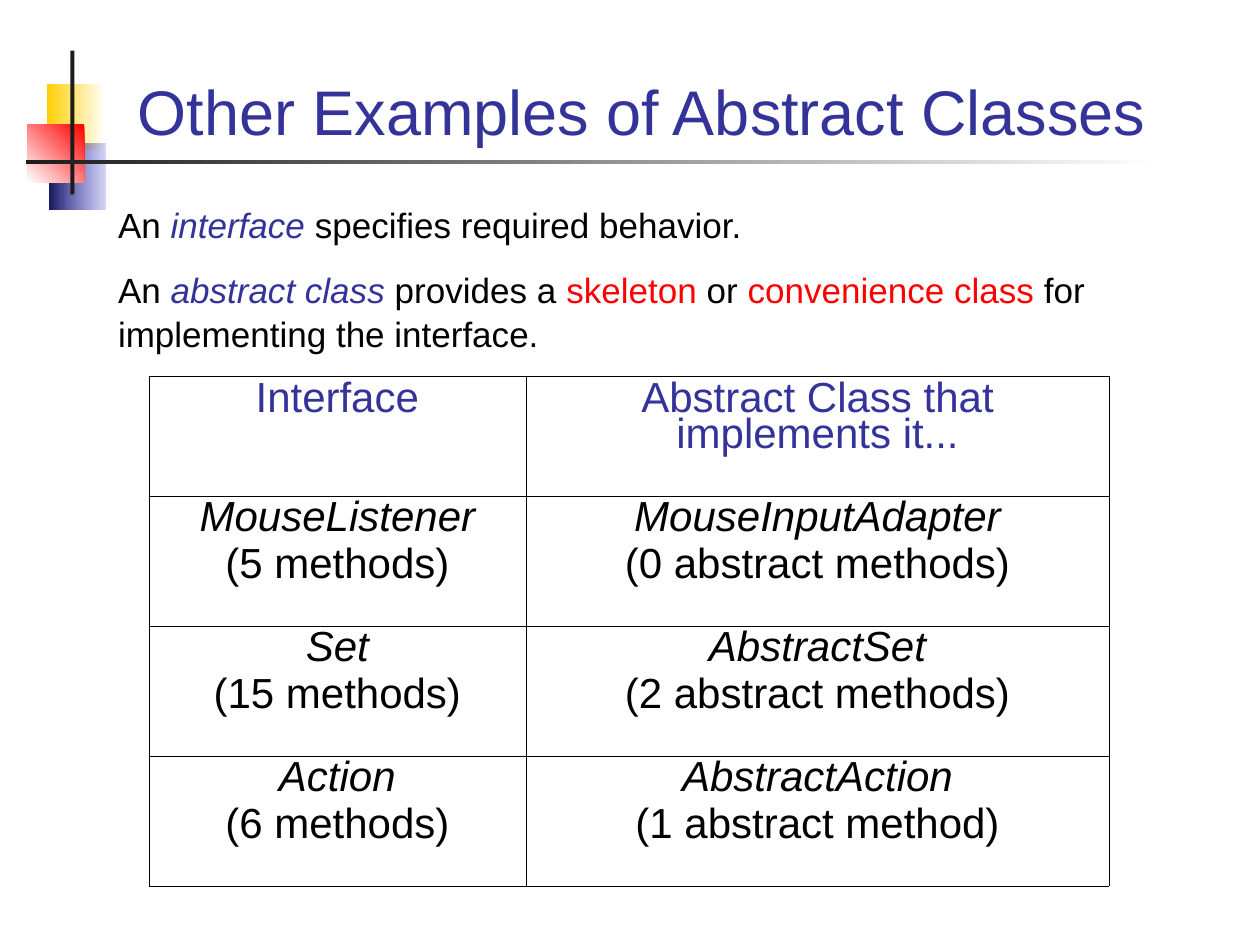
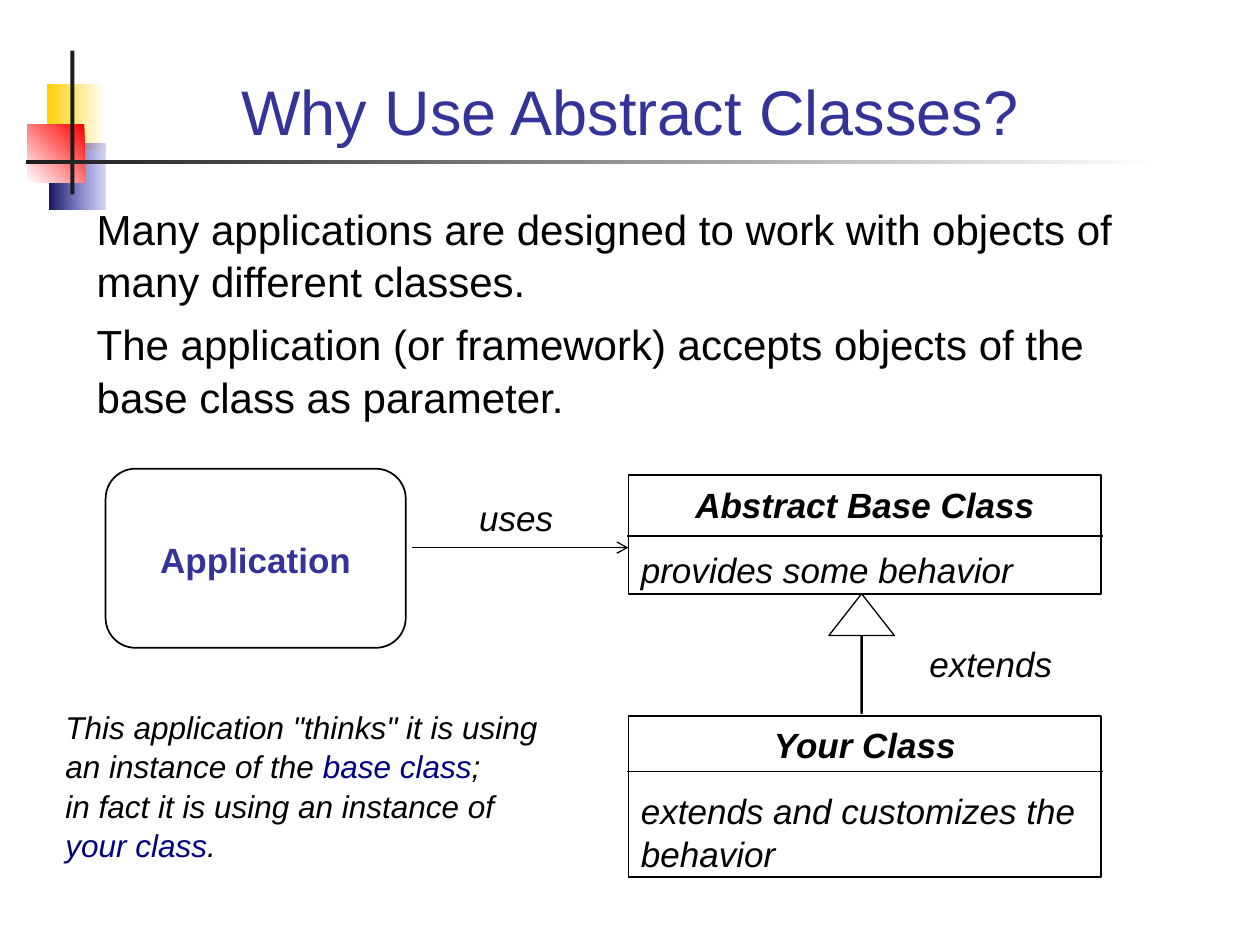
from dataclasses import dataclass
from itertools import product

from lxml import etree
from pptx import Presentation
from pptx import util as u
from pptx.dml.color import RGBColor
from pptx.enum import shapes, text
from pptx.oxml.ns import qn


@dataclass(frozen=True)
class Theme:
    font: str = "Arial"
    accent: str = "333399"
    black: str = "000000"
    red: str = "FF0000"
    navy: str = "000080"
    white: str = "FFFFFF"
    yellow: str = "FFCF01"
    indigo: str = "17175E"
    violet: str = "3333CC"
    charcoal: str = "1C1C1C"
    title: int = 36
    large: int = 24
    medium: int = 20
    small: int = 18
    hairline: float = 0.06
    thin: float = 0.75
    line: float = 1
    leading: float = 1.04
    table_leading: float = 0.78


THEME = Theme()
CENTER, LEFT = text.PP_ALIGN.CENTER, text.PP_ALIGN.LEFT
RECTANGLE = shapes.MSO_SHAPE.RECTANGLE
ACCENT = {"color": THEME.accent}
RED = {"color": THEME.red}
NAVY = {"color": THEME.navy}
ITALIC = {"italic": True}


def apply(target, formats):
    for name, value in formats.items():
        setattr(target, name, value)


def color(value):
    return RGBColor.from_string(value)


# ---- Text ----
def write(frame, paragraphs, size, before=0, leading=THEME.leading, **base):
    """Each paragraph is (alignment, runs); each run is (words, formats)."""
    frame.word_wrap = True
    for index, (alignment, runs) in enumerate(paragraphs):
        paragraph = frame.add_paragraph() if index else frame.paragraphs[0]
        apply(paragraph, {
            "alignment": alignment,
            "line_spacing": leading,
            "space_before": u.Pt(before if index else 0),
        })
        for words, formats in runs:
            if words == "\n":
                paragraph.add_line_break()
                continue
            formats = {"color": THEME.black, **base, **formats}
            run = paragraph.add_run()
            run.text = words
            run.font.color.rgb = color(formats.pop("color"))
            apply(run.font, {"name": THEME.font, "size": u.Pt(size), **formats})


def add_text(slide, box, paragraphs, size, **formats):
    shape = slide.shapes.add_textbox(*map(u.Cm, box))
    write(shape.text_frame, paragraphs, size, **formats)
    return shape


# ---- Shapes and lines ----
def add_outline(slide, kind, box, width=THEME.line):
    shape = slide.shapes.add_shape(kind, *map(u.Cm, box))
    shape.shadow.inherit = False
    shape.fill.background()
    shape.line.color.rgb = color(THEME.black)
    shape.line.width = u.Pt(width)
    return shape


def add_line(slide, start, end, width=THEME.line, arrow=False):
    line = slide.shapes.add_connector(
        shapes.MSO_CONNECTOR.STRAIGHT, *map(u.Cm, (*start, *end)))
    line.line.color.rgb = color(THEME.black)
    line.line.width = u.Pt(width)
    if arrow:
        etree.SubElement(line.line._get_or_add_ln(), qn("a:tailEnd"), type="arrow")
    etree.SubElement(line._element.spPr, qn("a:effectLst"))


def add_block(slide, box, first, last, angle=180, opacity=None):
    block = add_outline(slide, RECTANGLE, box)
    block.line.fill.background()
    if first == last:
        block.fill.solid()
        block.fill.fore_color.rgb = color(first)
        return
    block.fill.gradient()
    block.fill.gradient_angle = angle
    for stop, value in zip(block.fill.gradient_stops, (first, last)):
        stop.color.rgb = color(value)
    if opacity:
        start = block._element.spPr.find(".//" + qn("a:srgbClr"))
        etree.SubElement(start, qn("a:alpha"), val=str(opacity * 1000))


# ---- Shared slide frame ----
def add_frame(presentation, title, title_width):
    slide = presentation.slides.add_slide(presentation.slide_layouts[6])
    # Coloured squares
    add_block(slide, (0.94, 1.7, 1.19, 1.32), THEME.white, THEME.yellow)
    add_block(slide, (0.99, 2.9, 1.14, 1.32), THEME.violet, THEME.indigo, opacity=20)
    add_block(slide, (0.56, 2.51, 1.14, 1.17), THEME.red, THEME.white, angle=225)
    # Crossing bars
    add_block(slide, (1.42, 1.02, 0.08, 2.9), THEME.charcoal, THEME.charcoal)
    add_block(slide, (0.53, 3.23, 22.83, 0.08), THEME.white, THEME.charcoal)
    # Title
    heading = add_text(slide, (1.7, 0.71, title_width, 2.41),
                       [(CENTER, [(title, ACCENT)])], THEME.title, leading=1.0)
    heading.text_frame.vertical_anchor = text.MSO_ANCHOR.BOTTOM
    return slide


# ---- Table of interfaces ----
def set_borders(cell):
    properties = cell._tc.get_or_add_tcPr()
    for position, side in enumerate(("a:lnL", "a:lnR", "a:lnT", "a:lnB")):
        line = etree.Element(qn(side), w=str(u.Pt(THEME.hairline)))
        fill = etree.SubElement(line, qn("a:solidFill"))
        etree.SubElement(fill, qn("a:srgbClr"), val=THEME.black)
        properties.insert(position, line)


def add_interface_table(slide, left, top):
    headers = ("Interface", "Abstract Class that implements it...")
    pairs = (
        (("MouseListener", "(5 methods)"), ("MouseInputAdapter", "(0 abstract methods)")),
        (("Set", "(15 methods)"), ("AbstractSet", "(2 abstract methods)")),
        (("Action", "(6 methods)"), ("AbstractAction", "(1 abstract method)")),
    )
    widths, heights = (7.6, 11.76), (2.41, 2.62, 2.62, 2.62)
    table = slide.shapes.add_table(
        len(heights), len(widths),
        *map(u.Cm, (left, top, sum(widths), sum(heights)))).table
    apply(table, {"first_row": False, "horz_banding": False})
    for column, width in zip(table.columns, widths):
        column.width = u.Cm(width)
    for row, height in zip(table.rows, heights):
        row.height = u.Cm(height)
    for row, column in product(range(len(heights)), range(len(widths))):
        cell = table.cell(row, column)
        cell.fill.background()
        set_borders(cell)
        if row:
            name, count = pairs[row - 1][column]
            paragraphs = [(CENTER, [(name, ITALIC)]), (CENTER, [(count, {})])]
        else:
            paragraphs = [(CENTER, [(headers[column], ACCENT)])]
        write(cell.text_frame, paragraphs, THEME.large, before=6,
              leading=THEME.table_leading)


def build_examples_slide(presentation):
    slide = add_frame(presentation, "Other Examples of Abstract Classes", 22.48)
    add_text(slide, (2.13, 3.94, 21.18, 3.25), [
        (LEFT, [("An ", {}), ("interface", {**ACCENT, **ITALIC}),
                (" specifies required behavior.", {})]),
        (LEFT, [("An ", {}), ("abstract class", {**ACCENT, **ITALIC}),
                (" provides a ", {}), ("skeleton", RED), (" or ", {}),
                ("convenience class", RED), (" for implementing the interface.", {})]),
    ], THEME.medium, before=12.5)
    add_interface_table(slide, 3, 7.59)


# ---- Class diagram ----
def add_class_box(slide, box, divider, name, role):
    left, top, width, _ = box
    shape = add_outline(slide, RECTANGLE, box)
    shape.text_frame.vertical_anchor = text.MSO_ANCHOR.TOP
    write(shape.text_frame,
          [(CENTER, [(name, {"bold": True})]), (LEFT, [(role, {})])],
          THEME.medium, before=12.5, italic=True)
    overhang, level = 0.03, top + divider
    add_line(slide, (left - overhang, level), (left + width + overhang, level))


def add_diagram(slide, left, top):
    # Application
    application = add_outline(slide, shapes.MSO_SHAPE.ROUNDED_RECTANGLE,
                              (left, top, 6.05, 3.61))
    application.text_frame.vertical_anchor = text.MSO_ANCHOR.MIDDLE
    write(application.text_frame,
          [(CENTER, [("Application", {**ACCENT, "bold": True})])], THEME.medium)

    # Base class and derived class
    class_left, class_width = left + 10.54, 9.53
    add_class_box(slide, (class_left, top + 0.13, class_width, 2.39), 1.22,
                  "Abstract Base Class", "provides some behavior")
    add_class_box(slide, (class_left, top + 4.98, class_width, 3.25), 1.12,
                  "Your Class", "extends and customizes the behavior")

    # Relations
    level = top + 1.59
    add_line(slide, (left + 6.18, level), (class_left, level), THEME.thin, arrow=True)
    inheritance = add_outline(slide, shapes.MSO_SHAPE.UP_ARROW,
                              (left + 14.58, top + 2.52, 1.32, 2.41), THEME.thin)
    inheritance.adjustments[0] = 0.017
    inheritance.adjustments[1] = 0.639
    for label, x, y in (("uses", 6.61, 0.41), ("extends", 16.18, 3.35)):
        add_text(slide, (left + x, top + y, 3.33, 1.12),
                 [(CENTER, [(label, ITALIC)])], THEME.medium)


def build_reasons_slide(presentation):
    slide = add_frame(presentation, "Why Use Abstract Classes?", 22)
    add_text(slide, (1.7, 3.94, 22, 5.03), [
        (LEFT, [("Many applications are designed to work with objects of "
                 "many different classes.", {})]),
        (LEFT, [("The application (or framework) accepts objects of the "
                 "base class as parameter.", {})]),
    ], THEME.large, before=6)
    add_diagram(slide, 2.13, 9.45)
    # Remark
    add_text(slide, (1.07, 14.12, 10.39, 3.3), [
        (LEFT, [('This application "thinks" it is using an instance of the ', {}),
                ("base class", NAVY), ("; ", {}), ("\n", {}),
                ("in fact it is using an instance of ", {}),
                ("your class", NAVY), (".", {})]),
    ], THEME.small, italic=True)


def main():
    presentation = Presentation()
    apply(presentation, {"slide_width": u.Cm(25.4), "slide_height": u.Cm(19.05)})
    build_examples_slide(presentation)
    build_reasons_slide(presentation)
    presentation.save("out.pptx")


if __name__ == "__main__":
    main()
